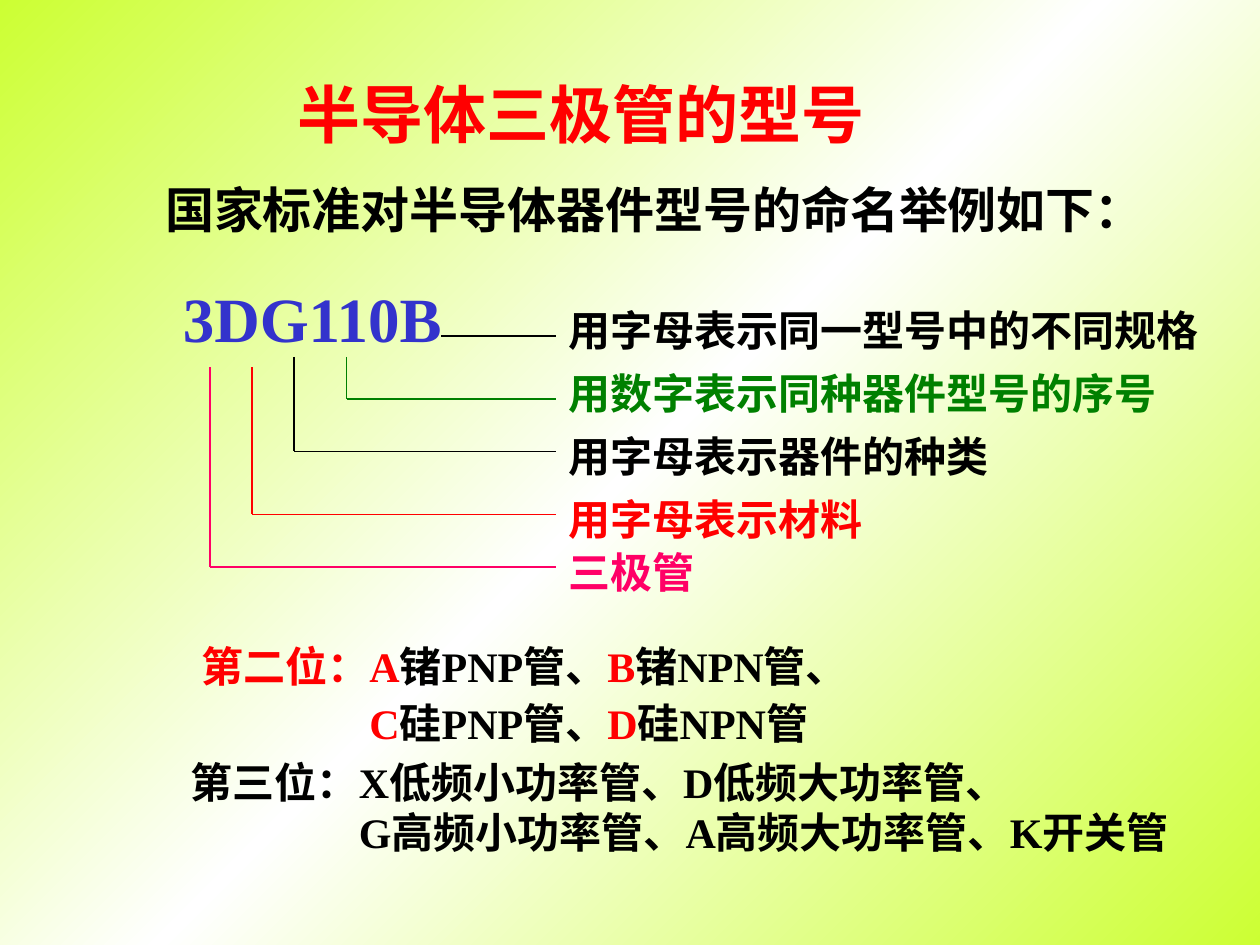
"""Build the slide on how semiconductor transistor models are named."""
import copy
from dataclasses import dataclass

import lxml.etree
import pptx
import pptx.dml.color
import pptx.enum.shapes
import pptx.enum.text
import pptx.oxml.ns
import pptx.util

Pt = pptx.util.Pt
ANCHOR = pptx.enum.text.MSO_ANCHOR
ALIGN = pptx.enum.text.PP_ALIGN
AUTO_SIZE = pptx.enum.text.MSO_AUTO_SIZE
qn = pptx.oxml.ns.qn

CHINESE_FONT = "Noto Sans CJK SC"
LATIN_FONT = "Times New Roman"
RED, BLACK, GREEN, BLUE, PINK = "FF0000", "000000", "008000", "3333CC", "FF0066"
LIME, WHITE = "CCFF33", "FFFFFF"
LABEL_LEFT = 318
LABEL_HEIGHT = 36
INDENT = 96


@dataclass
class Run:
    text: str
    color: str = BLACK


@dataclass
class Line:
    runs: list[Run]
    indent: float = 0
    height: float = 1.2


@dataclass
class Box:
    left: float
    top: float
    width: float
    height: float


@dataclass
class Callout:
    text: str
    color: str
    label_top: float
    label_width: float
    line_left: float
    line_y: float
    stem_top: float | None = None


CALLOUTS = [
    Callout("用字母表示材料", RED, 276, 252, 144, 294, 210),
    Callout("用字母表示器件的种类", BLACK, 240, 306, 168, 258, 204),
    Callout("用数字表示同种器件型号的序号", GREEN, 204, 378, 198, 228, 204),
    Callout("用字母表示同一型号中的不同规格", BLACK, 168, 384, 252, 192),
    Callout("三极管", PINK, 306, 132, 120, 324, 210),
]

SECOND_PLACE = [
    Line([Run("第二位：A", RED), Run("锗PNP管、"), Run("B", RED), Run("锗NPN管、")]),
    Line([Run("C", RED), Run("硅PNP管、"), Run("D", RED), Run("硅NPN管")], INDENT, 1.35),
]
THIRD_PLACE = [
    Line([Run("第三位：X低频小功率管、D低频大功率管、")]),
    Line([Run("G高频小功率管、A高频大功率管、K开关管")], INDENT),
]


def rgb(color: str) -> pptx.dml.color.RGBColor:
    """Turn a hex string into a colour."""
    return pptx.dml.color.RGBColor.from_string(color)


def add_run(paragraph, item: Run, size: float, font_name: str) -> None:
    """Append one bold run with its Latin and East Asian fonts."""
    run = paragraph.add_run()
    run.text = item.text
    run.font.size = Pt(size)
    run.font.bold = True
    run.font.color.rgb = rgb(item.color)
    run.font.name = font_name
    east_asian = lxml.etree.Element(qn("a:ea"), typeface=CHINESE_FONT)
    run.font._element.find(qn("a:latin")).addnext(east_asian)


def add_text(shapes, box: Box, lines: list[Line], size: float, font_name: str,
             centered: bool = False, drop: float = 0.11) -> None:
    """Add a text box with fixed line heights and a small downward offset."""
    shape = shapes.add_textbox(Pt(box.left), Pt(box.top), Pt(box.width), Pt(box.height))
    frame = shape.text_frame
    frame.word_wrap = not centered
    frame.auto_size = AUTO_SIZE.SHAPE_TO_FIT_TEXT
    frame.vertical_anchor = ANCHOR.MIDDLE if centered else ANCHOR.TOP
    frame.margin_left = frame.margin_right = Pt(7.2)
    frame.margin_top = Pt(3.6 + drop * size)
    frame.margin_bottom = Pt(3.6 - drop * size)
    for index, line in enumerate(lines):
        paragraph = frame.add_paragraph() if index else frame.paragraphs[0]
        paragraph.alignment = ALIGN.CENTER if centered else ALIGN.LEFT
        paragraph.line_spacing = Pt(line.height * size)
        if line.indent:
            properties = paragraph._p.get_or_add_pPr()
            properties.set("marL", str(Pt(line.indent)))
            properties.set("indent", "0")
        for item in line.runs:
            add_run(paragraph, item, size, font_name)


def add_line(shapes, start: tuple[float, float], end: tuple[float, float], color: str) -> None:
    """Add a thin straight line without a shadow."""
    points = [Pt(value) for value in (*start, *end)]
    connector = shapes.add_connector(pptx.enum.shapes.MSO_CONNECTOR.STRAIGHT, *points)
    connector.line.color.rgb = rgb(color)
    connector.line.width = Pt(1)
    lxml.etree.SubElement(connector._element.spPr, qn("a:effectLst"))


def add_callout(slide, callout: Callout) -> None:
    """Add a group of leader lines and the label they point to."""
    shapes = slide.shapes.add_group_shape().shapes
    corner = (callout.line_left, callout.line_y)
    if callout.stem_top is not None:
        add_line(shapes, (callout.line_left, callout.stem_top), corner, callout.color)
    add_line(shapes, corner, (LABEL_LEFT, callout.line_y), callout.color)
    box = Box(LABEL_LEFT, callout.label_top, callout.label_width, LABEL_HEIGHT)
    add_text(shapes, box, [Line([Run(callout.text, callout.color)])], 24, CHINESE_FONT)


def fill_background(slide) -> None:
    """Paint a diagonal gradient from lime through white to lime."""
    fill = slide.background.fill
    fill.gradient()
    fill.gradient_angle = 315
    stop_list = next(slide.element.iter(qn("a:gsLst")))
    stop_list.append(copy.deepcopy(stop_list[-1]))
    for stop, position, color in zip(fill.gradient_stops, (0, 0.5, 1), (LIME, WHITE, LIME)):
        stop.position = position
        stop.color.rgb = rgb(color)


def set_title(slide, text: str) -> None:
    """Place and format the title placeholder."""
    title = slide.shapes.title
    title.left, title.top, title.width, title.height = Pt(132), Pt(18), Pt(390), Pt(90)
    frame = title.text_frame
    frame.auto_size = AUTO_SIZE.NONE
    frame.word_wrap = True
    frame.vertical_anchor = ANCHOR.MIDDLE
    frame.margin_left, frame.margin_right = Pt(17), Pt(7.2)
    frame.margin_top, frame.margin_bottom = Pt(7), Pt(3.6)
    paragraph = frame.paragraphs[0]
    paragraph.alignment = ALIGN.CENTER
    add_run(paragraph, Run(text, RED), 36, CHINESE_FONT)


def main() -> None:
    """Build and save the presentation."""
    presentation = pptx.Presentation()
    presentation.slide_width, presentation.slide_height = Pt(720), Pt(540)
    slide = presentation.slides.add_slide(presentation.slide_layouts[5])
    fill_background(slide)
    set_title(slide, "半导体三极管的型号")
    add_text(slide.shapes, Box(108, 360, 624, 70), SECOND_PLACE, 24, LATIN_FONT)
    add_text(slide.shapes, Box(102, 426, 630, 65), THIRD_PLACE, 24, LATIN_FONT)
    for callout in CALLOUTS:
        add_callout(slide, callout)
    add_text(slide.shapes, Box(73.5, 96, 573, 41),
             [Line([Run("国家标准对半导体器件型号的命名举例如下：")])], 28, LATIN_FONT, centered=True)
    add_text(slide.shapes, Box(96.5, 156, 164, 50.4),
             [Line([Run("3DG110B", BLUE)])], 36, LATIN_FONT, centered=True, drop=0)
    presentation.save("out.pptx")


if __name__ == "__main__":
    main()
